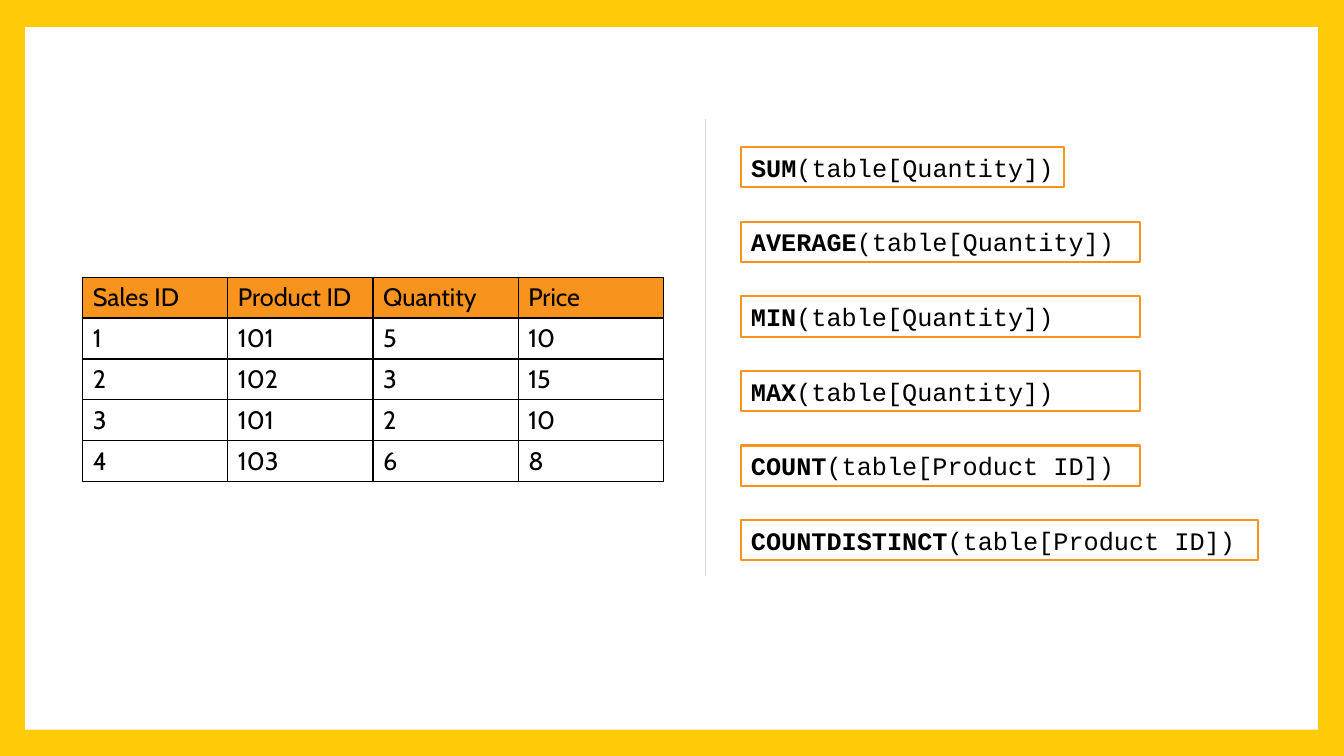
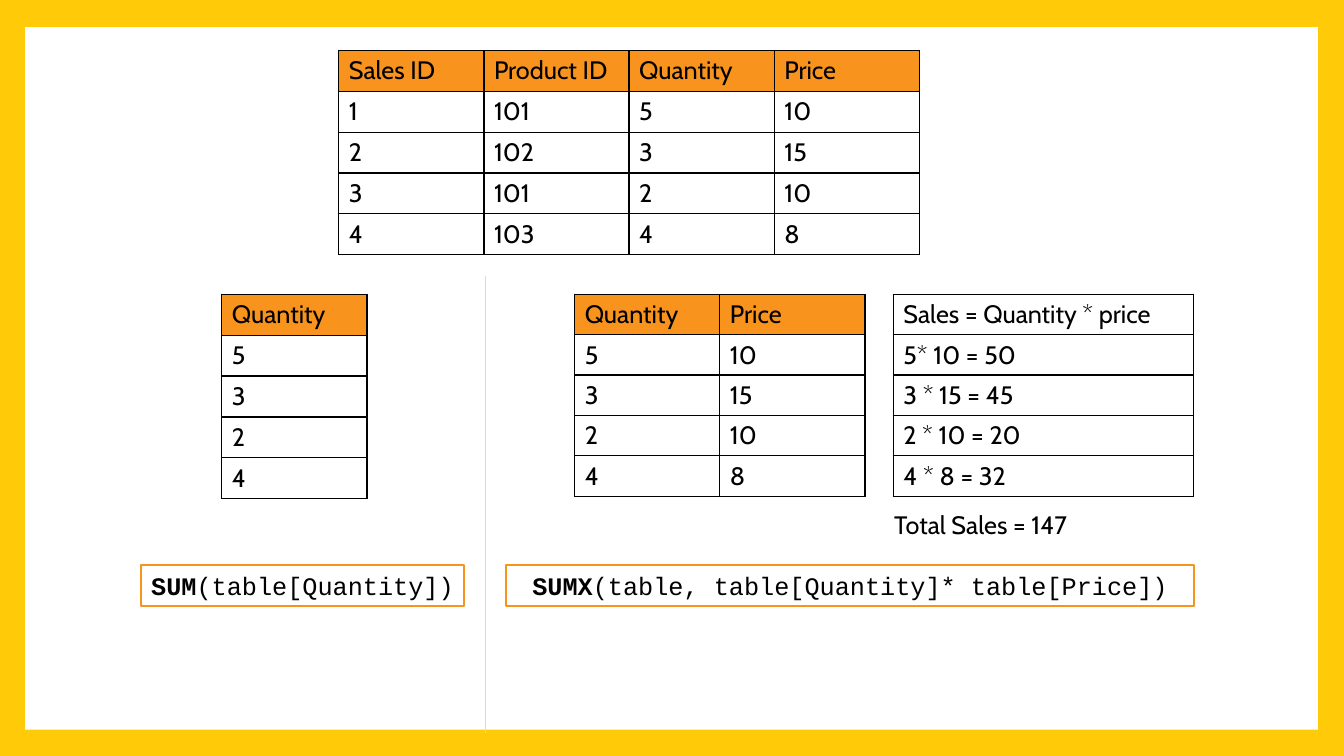
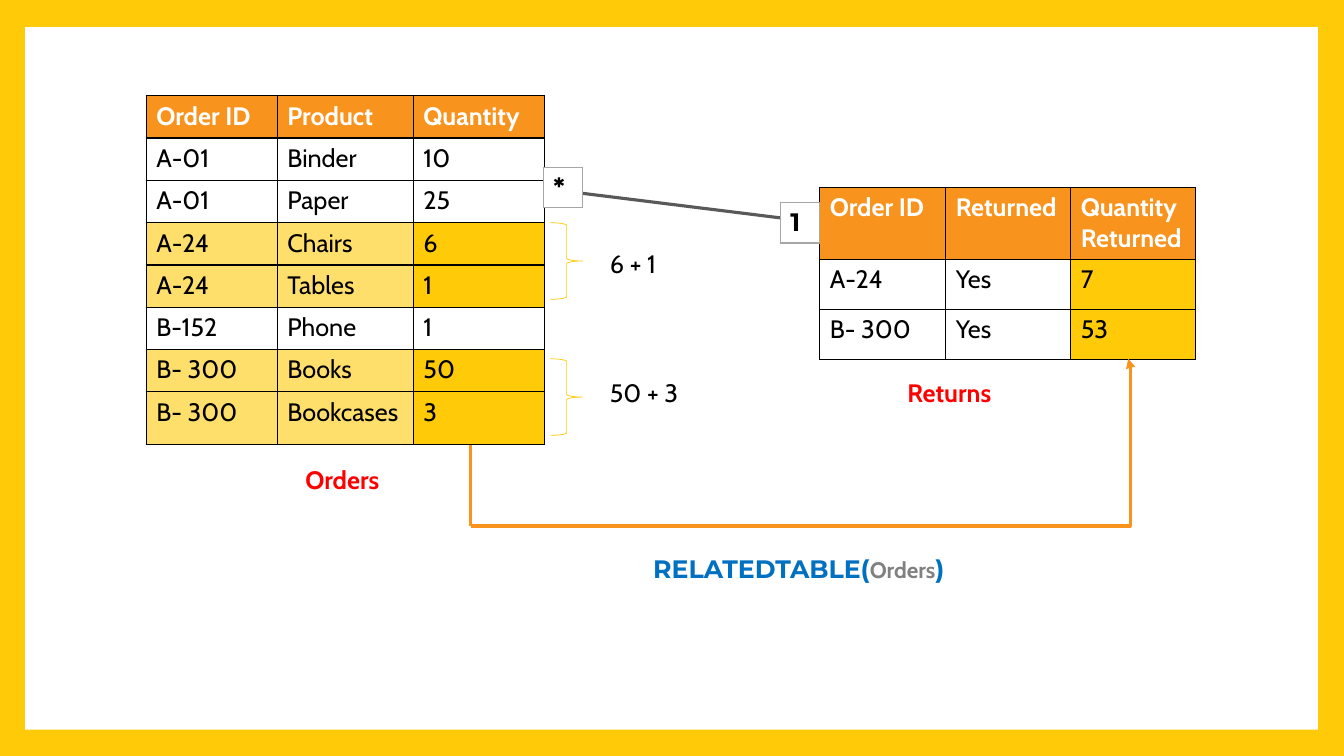
from dataclasses import dataclass

from lxml.etree import SubElement
from pptx import Presentation
from pptx.dml.color import RGBColor
from pptx.enum.shapes import MSO_CONNECTOR as Line, MSO_SHAPE as Shape
from pptx.enum.text import MSO_ANCHOR as Anchor, MSO_AUTO_SIZE as AutoSize, PP_ALIGN as Align
from pptx.oxml.ns import qn
from pptx.util import Inches, Pt


@dataclass(frozen=True)
class Theme:
    yellow: str = "FFCA08"
    pale_yellow: str = "FFDF6B"
    orange: str = "F8931D"
    white: str = "FFFFFF"
    black: str = "000000"
    red: str = "FF0000"
    blue: str = "0070C0"
    gray: str = "808080"
    box_gray: str = "A6A6A6"
    rule_gray: str = "D9D9D9"
    link_gray: str = "595959"
    body: str = "Cabin"
    code: str = "Courier New"
    accent: str = "Montserrat"
    size: int = 18
    small: int = 16


T = Theme()

# Content
SALES_HEAD = ["Sales ID", "Product ID", "Quantity", "Price"]
SALES = [SALES_HEAD, [1, 101, 5, 10], [2, 102, 3, 15], [3, 101, 2, 10], [4, 103, 6, 8]]
SALES_REVISED = SALES[:-1] + [[4, 103, 4, 8]]
QUANTITIES = [row[2:3] for row in SALES_REVISED]
QUANTITY_PRICES = [row[2:] for row in SALES_REVISED]
LINE_SALES = [["Sales = Quantity * price"], ["5* 10 = 50"], ["3 * 15 = 45"],
              ["2 * 10 = 20"], ["4 * 8 = 32"]]

# Function, arguments, box width, alignment
AGGREGATIONS = [
    ("SUM", "(table[Quantity])", 3.2, Align.CENTER),
    ("AVERAGE", "(table[Quantity])", 3.96, Align.LEFT),
    ("MIN", "(table[Quantity])", 3.96, Align.LEFT),
    ("MAX", "(table[Quantity])", 3.96, Align.LEFT),
    ("COUNT", "(table[Product ID])", 3.96, Align.LEFT),
    ("COUNTDISTINCT", "(table[Product ID])", 5.13, Align.LEFT),
]

ORDERS = [["Order ID", "Product", "Quantity"], ["A-01", "Binder", 10], ["A-01", "Paper", 25],
          ["A-24", "Chairs", 6], ["A-24", "Tables", 1], ["B-152", "Phone", 1],
          ["B- 300", "Books", 50], ["B- 300", "Bookcases", 3]]
RETURNS = [["Order ID", "Returned", "Quantity Returned"],
           ["A-24", "Yes", 7], ["B- 300", "Yes", 53]]
RETURNED_IDS = {row[0] for row in RETURNS[1:]}

# Brace top, sum, sum top
RETURN_SUMS = [(2.21, "6 + 1", 2.41), (3.56, "50 + 3", 3.69)]
# Table caption, left, top, width
CAPTIONS = [("Returns", 8.9, 3.69, 1.09), ("Orders", 2.93, 4.56, 1.03)]
# Relationship end, left, top
CARDINALITIES = [("*", 5.39, 1.66), ("1", 7.74, 2.01)]

COLUMN = 1.44
ROW = 0.4


def rgb(color):
    return RGBColor.from_string(color)


def add_run(paragraph, text, font=T.body, size=T.size, color=T.black, bold=False):
    run = paragraph.add_run()
    run.text = str(text)
    run.font.name, run.font.size, run.font.bold = font, Pt(size), bold
    run.font.color.rgb = rgb(color)


def add_label(slide, text, left, top, width, **style):
    label = slide.shapes.add_textbox(Inches(left), Inches(top), Inches(width), Inches(ROW))
    label.text_frame.word_wrap = True
    label.text_frame.auto_size = AutoSize.SHAPE_TO_FIT_TEXT
    paragraph = label.text_frame.paragraphs[0]
    if text:
        add_run(paragraph, text, **style)
    return paragraph


def add_outline(slide, kind, left, top, width, height, fill=None, line=None, weight=1.5):
    shape = slide.shapes.add_shape(kind, Inches(left), Inches(top), Inches(width), Inches(height))
    shape.shadow.inherit = False
    if fill:
        shape.fill.solid()
        shape.fill.fore_color.rgb = rgb(fill)
    else:
        shape.fill.background()
    if line:
        shape.line.color.rgb = rgb(line)
        shape.line.width = Pt(weight)
    else:
        shape.line.fill.background()
    return shape


def add_formula(slide, function, arguments, left, top, width, align=Align.CENTER):
    box = add_outline(slide, Shape.RECTANGLE, left, top, width, ROW, line=T.orange)
    frame = box.text_frame
    frame.word_wrap = True
    frame.auto_size = AutoSize.SHAPE_TO_FIT_TEXT
    frame.vertical_anchor = Anchor.MIDDLE
    paragraph = frame.paragraphs[0]
    paragraph.alignment = align
    add_run(paragraph, function, font=T.code, bold=True)
    add_run(paragraph, arguments, font=T.code)


def add_line(slide, start, end, color, weight, kind=Line.STRAIGHT):
    line = slide.shapes.add_connector(kind, *map(Inches, start + end))
    line.line.color.rgb = rgb(color)
    line.line.width = Pt(weight)
    SubElement(line._element.spPr, qn("a:effectLst"))
    return line


def add_borders(cell, color):
    properties = cell._tc.get_or_add_tcPr()
    for position, side in enumerate(("lnL", "lnR", "lnT", "lnB")):
        border = SubElement(properties, qn(f"a:{side}"), w=str(Pt(1)))
        fill = SubElement(border, qn("a:solidFill"))
        SubElement(fill, qn("a:srgbClr"), val=color)
        properties.insert(position, border)


def header_fill(row, column, values):
    return T.white if row else T.orange


def plain_fill(row, column, values):
    return T.white


def orders_fill(row, column, values):
    if values[0] in RETURNED_IDS:
        return T.yellow if column == 2 else T.pale_yellow
    return header_fill(row, column, values)


def returns_fill(row, column, values):
    return T.yellow if row and column == 2 else header_fill(row, column, values)


def add_grid(slide, rows, left, top, widths=None, heights=None, fill=header_fill,
             border=T.black, head=None, **style):
    widths = widths or [COLUMN] * len(rows[0])
    heights = heights or [ROW] * len(rows)
    table = slide.shapes.add_table(len(rows), len(widths), Inches(left), Inches(top),
                                   Inches(sum(widths)), Inches(sum(heights))).table
    table.first_row = table.horz_banding = False
    for column, width in zip(table.columns, widths):
        column.width = Inches(width)
    for r, (values, height) in enumerate(zip(rows, heights)):
        table.rows[r].height = Inches(height)
        for c, value in enumerate(values):
            cell = table.cell(r, c)
            cell.fill.solid()
            cell.fill.fore_color.rgb = rgb(fill(r, c, values))
            add_borders(cell, border)
            add_run(cell.text_frame.paragraphs[0], value, **(head if head and r == 0 else style))


def dress_master(deck, slide):
    """Give every slide the yellow frame around a white panel."""
    master = deck.slide_master
    master.background.fill.solid()
    master.background.fill.fore_color.rgb = rgb(T.yellow)
    panel = add_outline(slide, Shape.RECTANGLE, 0.25, 0.27, 12.82, 6.97, fill=T.white)
    master.shapes.element.insert(2, panel._element)


def build_aggregations(slide):
    add_grid(slide, SALES, 0.82, 2.75)
    add_line(slide, (7, 1.18), (7, 5.71), T.rule_gray, 0.5)
    for i, (function, arguments, width, align) in enumerate(AGGREGATIONS):
        add_formula(slide, function, arguments, 7.35, 1.46 + 0.74 * i, width, align)


def build_sum_and_sumx(slide):
    detail_top, formula_top = 2.92, 5.61
    add_grid(slide, SALES_REVISED, 3.36, 0.5)
    add_line(slide, (4.81, 2.74), (4.81, 7.27), T.rule_gray, 0.5)

    # Column total
    add_grid(slide, QUANTITIES, 2.2, detail_top)
    add_formula(slide, "SUM", "(table[Quantity])", 1.4, formula_top, 3.2)

    # Row by row total
    add_grid(slide, QUANTITY_PRICES, 5.7, detail_top)
    add_grid(slide, LINE_SALES, 8.86, detail_top, widths=[2.98], fill=plain_fill)
    add_label(slide, "Total Sales = 147", 8.77, 5, 2.98)
    add_formula(slide, "SUMX", "(table, table[Quantity]* table[Price])", 5.02, formula_top, 6.82)


def build_related_table(slide):
    # The two tables and their captions
    head = dict(color=T.white, bold=True)
    add_grid(slide, RETURNS, 8.13, 1.86, [1.25, 1.24, 1.24], [0.71, 0.5, 0.5],
             fill=returns_fill, head=head)
    add_grid(slide, ORDERS, 1.45, 0.95, [1.3, 1.35, 1.3], [0.42] * 7 + [0.52],
             fill=orders_fill, head=head)
    for caption, left, top, width in CAPTIONS:
        add_label(slide, caption, left, top, width, color=T.red, bold=True)

    # Many-to-one relationship
    add_line(slide, (5.39, 1.87), (8.13, 2.21), T.link_gray, 2.25)
    for mark, left, top in CARDINALITIES:
        add_grid(slide, [[mark]], left, top, [0.39], fill=plain_fill,
                 border=T.box_gray, font=T.accent, bold=True)

    # Sums of the returned orders
    for brace_top, total, total_top in RETURN_SUMS:
        add_outline(slide, Shape.RIGHT_BRACE, 5.46, brace_top, 0.32, 0.76,
                    line=T.yellow, weight=0.5)
        add_label(slide, total, 5.95, total_top, 1.31)

    # Path from orders to returns
    corner = (4.67, 5.22)
    add_line(slide, (4.67, 4.41), corner, T.orange, 2.25)
    path = add_line(slide, corner, (11.19, 3.56), T.orange, 2.25, Line.ELBOW)
    bend = path._element.spPr.find(qn("a:prstGeom")).get_or_add_avLst()
    SubElement(bend, qn("a:gd"), name="adj1", fmla="val 100300")
    SubElement(path.line._get_or_add_ln(), qn("a:tailEnd"), type="triangle")

    formula = add_label(slide, "RELATEDTABLE(", 6.38, 5.44, 4.1,
                        font=T.accent, color=T.blue, bold=True)
    add_run(formula, "Orders", size=T.small, color=T.gray, bold=True)
    add_run(formula, ")", font=T.accent, color=T.blue, bold=True)


def main():
    deck = Presentation()
    deck.slide_width, deck.slide_height = Inches(13.33), Inches(7.5)
    blank = deck.slide_layouts[6]
    builders = (build_aggregations, build_sum_and_sumx, build_related_table)
    slides = [deck.slides.add_slide(blank) for _ in builders]
    dress_master(deck, slides[0])
    for build, slide in zip(builders, slides):
        build(slide)
    deck.save("out.pptx")


if __name__ == "__main__":
    main()
